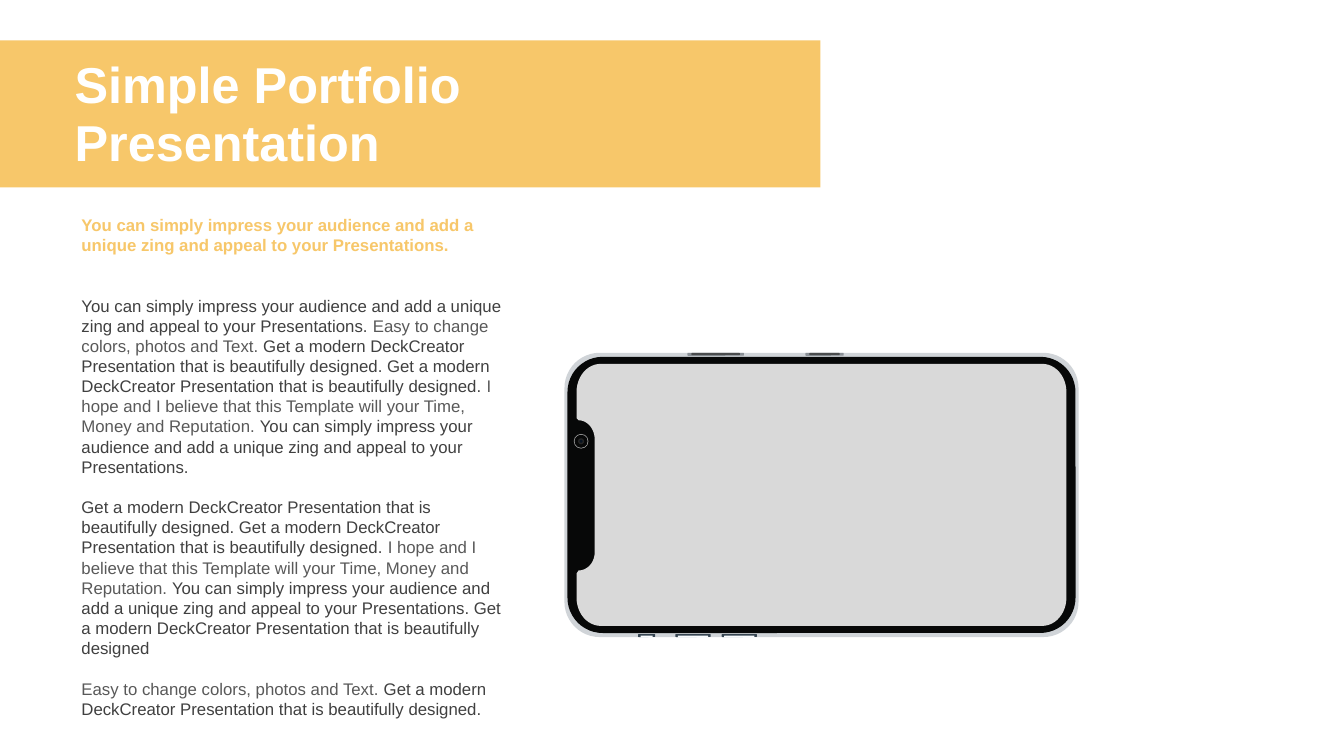
import math

import pptx
import pptx.dml.color
import pptx.enum.shapes
import pptx.enum.text
import pptx.util

GRID = pptx.util.Inches(0.1)
COLUMNS, ROWS = 133.33, 75
FONT = "Arial"
GOLD, WHITE = "F7C76A", "FFFFFF"
DARK, SOFT = "404040", "595959"
SHAPE = pptx.enum.shapes.MSO_SHAPE

IMPRESS = ("You can simply impress your audience and add a unique zing "
           "and appeal to your Presentations.")
EASY = "Easy to change colors, photos and Text. "
MODERN = "Get a modern DeckCreator Presentation that is beautifully designed"
HOPE = "I hope and I believe that this Template will your Time, Money and Reputation. "
STORY = [
    [(IMPRESS + " ", DARK), (EASY, SOFT), (f"{MODERN}. {MODERN}. ", DARK),
     (HOPE, SOFT), (IMPRESS, DARK)],
    [(f"{MODERN}. {MODERN}. ", DARK), (HOPE, SOFT), (f"{IMPRESS} {MODERN}", DARK)],
    [(EASY, SOFT), (MODERN + ".", DARK)],
]


def grid(*steps):
    """Turn grid steps into lengths."""
    return [pptx.util.Emu(round(step * GRID)) for step in steps]


def color(hex_code):
    return pptx.dml.color.RGBColor.from_string(hex_code)


def paint(shape, hex_code):
    shape.shadow.inherit = False
    shape.fill.solid()
    shape.fill.fore_color.rgb = color(hex_code)
    shape.line.fill.background()


def add_block(slide, kind, box, hex_code, radius=None):
    """Add a plain filled shape; radius is the corner's size in grid steps."""
    block = slide.shapes.add_shape(kind, *grid(*box))
    if radius is not None:
        block.adjustments[0] = radius / min(box[2:])
    paint(block, hex_code)


def add_title(slide, lines):
    title = slide.shapes.title
    slide.shapes._spTree.append(title._element)
    title.left, title.top, title.width, title.height = grid(6.4, 4.4, 46.9, 14.6)
    frame = title.text_frame
    frame.text = "\n".join(lines)
    frame.word_wrap = True
    frame.auto_size = pptx.enum.text.MSO_AUTO_SIZE.NONE
    frame.vertical_anchor = pptx.enum.text.MSO_ANCHOR.MIDDLE
    for index, paragraph in enumerate(frame.paragraphs):
        paragraph.alignment = pptx.enum.text.PP_ALIGN.LEFT
        paragraph.line_spacing = 0.8
        paragraph.space_before = pptx.util.Pt(7 if index else 0)
        font = paragraph.font
        font.name, font.size, font.bold = FONT, pptx.util.Pt(36), True
        font.color.rgb = color(WHITE)


def add_copy(slide, box, paragraphs, bold=False):
    """Add running text from paragraphs of (text, colour) runs."""
    frame = slide.shapes.add_textbox(*grid(*box)).text_frame
    frame.word_wrap = True
    for index, runs in enumerate(paragraphs):
        paragraph = frame.paragraphs[0]
        if index:
            paragraph = frame.add_paragraph()
            paragraph.space_before = pptx.util.Pt(14.4)
        font = paragraph.font
        font.name, font.size, font.bold = FONT, pptx.util.Pt(12), bold
        for text, hex_code in runs:
            run = paragraph.add_run()
            run.text = text
            run.font.color.rgb = color(hex_code)


def arc(center_x, center_y, radius_x, radius_y, start, end, steps=12):
    angles = [math.radians(start + (end - start) * i / steps) for i in range(steps + 1)]
    return [(center_x + radius_x * math.cos(angle), center_y + radius_y * math.sin(angle))
            for angle in angles]


def add_screen(slide):
    """Add the phone's display with the notch cut into its left side."""
    outline = [
        (57.2, 41.5),
        *arc(57.4, 43.6, 1.6, 1.9, -90, 0),
        *arc(57.4, 54.8, 1.6, 1.8, 0, 90),
        (57.2, 56.9),
        *arc(59.6, 59.3, 2.4, 2.8, 180, 90),
        *arc(103.4, 59.3, 2.4, 2.8, 90, 0),
        *arc(103.4, 38.9, 2.4, 2.8, 0, -90),
        *arc(59.6, 38.9, 2.4, 2.8, -90, -180),
    ]
    points = [grid(*point) for point in outline]
    builder = slide.shapes.build_freeform(*points[0], scale=1)
    builder.add_line_segments(points[1:], close=True)
    paint(builder.convert_to_shape(), "D9D9D9")


def add_slot(slide, left, width, top, inner_top, inset, outer, inner):
    """Add a port or side button: a thin bar with a thinner bar inside."""
    add_block(slide, SHAPE.ROUNDED_RECTANGLE, (left, top, width, 0.3), outer, 0.08)
    add_block(slide, SHAPE.ROUNDED_RECTANGLE,
              (left + inset, inner_top, width - 2 * inset, 0.2), inner, 0.05)


def add_phone(slide):
    add_block(slide, SHAPE.ROUNDED_RECTANGLE, (56, 35, 51, 28.2), "D0D4D8", 3.5)
    add_block(slide, SHAPE.ROUNDED_RECTANGLE, (56.3, 35.4, 50.4, 27.4), "070808", 3.5)
    add_screen(slide)
    for left, width in ((63.3, 1.7), (67, 3.5), (71.6, 3.5)):
        add_slot(slide, left, width, 62.9, 63.05, 0.25, "364551", "FAFDFF")
    for left, width in ((68.2, 5.6), (79.9, 3.8)):
        add_slot(slide, left, width, 35, 35.02, 0.4, "8A9096", "4A4C4D")
    for size, hex_code in ((1.45, "A6A6A6"), (1.3, "070808"),
                           (0.6, "262626"), (0.3, "081422")):
        add_block(slide, SHAPE.OVAL,
                  (57.65 - size / 2, 43.78 - size / 2, size, size), hex_code)


def main():
    deck = pptx.Presentation()
    deck.slide_width, deck.slide_height = grid(COLUMNS, ROWS)
    slide = deck.slides.add_slide(deck.slide_layouts.get_by_name("Title Only"))
    add_phone(slide)
    add_block(slide, SHAPE.RECTANGLE, (0, 4, 81.4, 14.6), GOLD)
    add_title(slide, ["Simple Portfolio", "Presentation"])
    add_copy(slide, (7.1, 28.8, 44.3, 41.4), STORY)
    add_copy(slide, (7.1, 20.8, 44.3, 5), [[(IMPRESS, GOLD)]], bold=True)
    deck.save("out.pptx")


if __name__ == "__main__":
    main()
